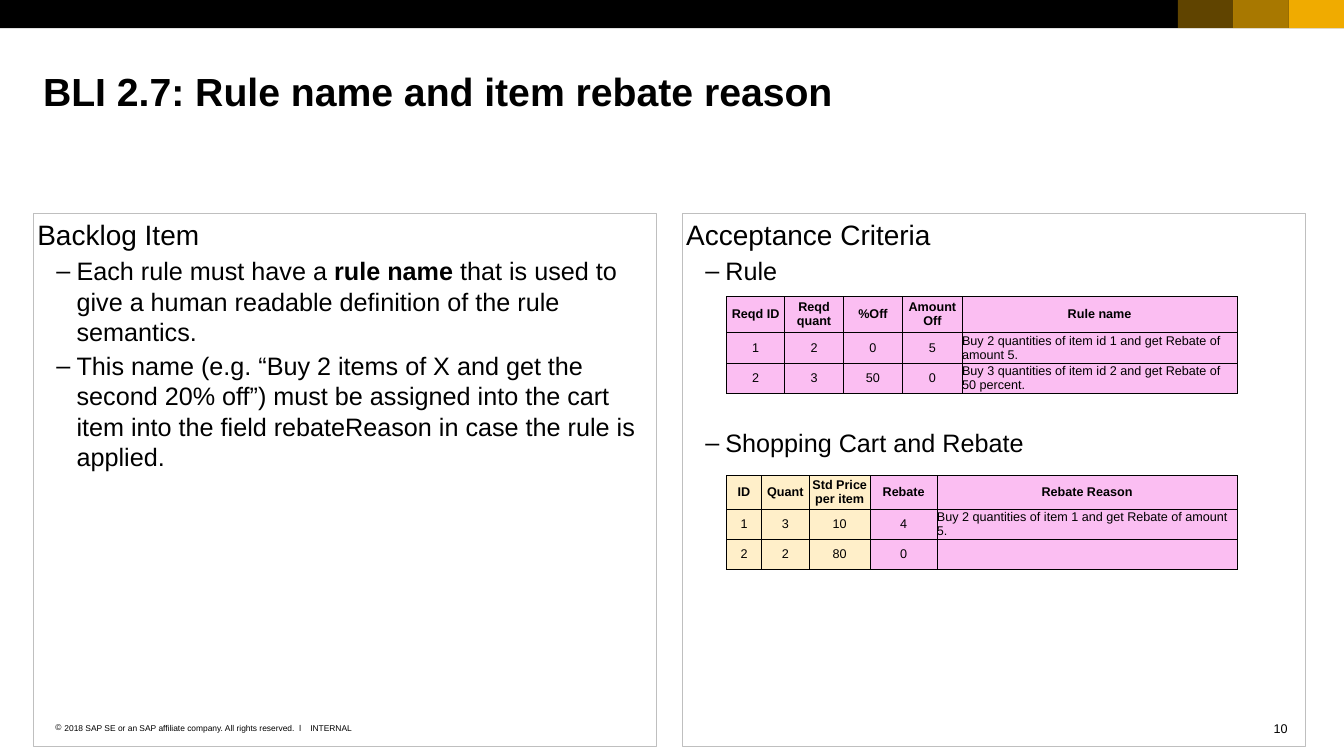
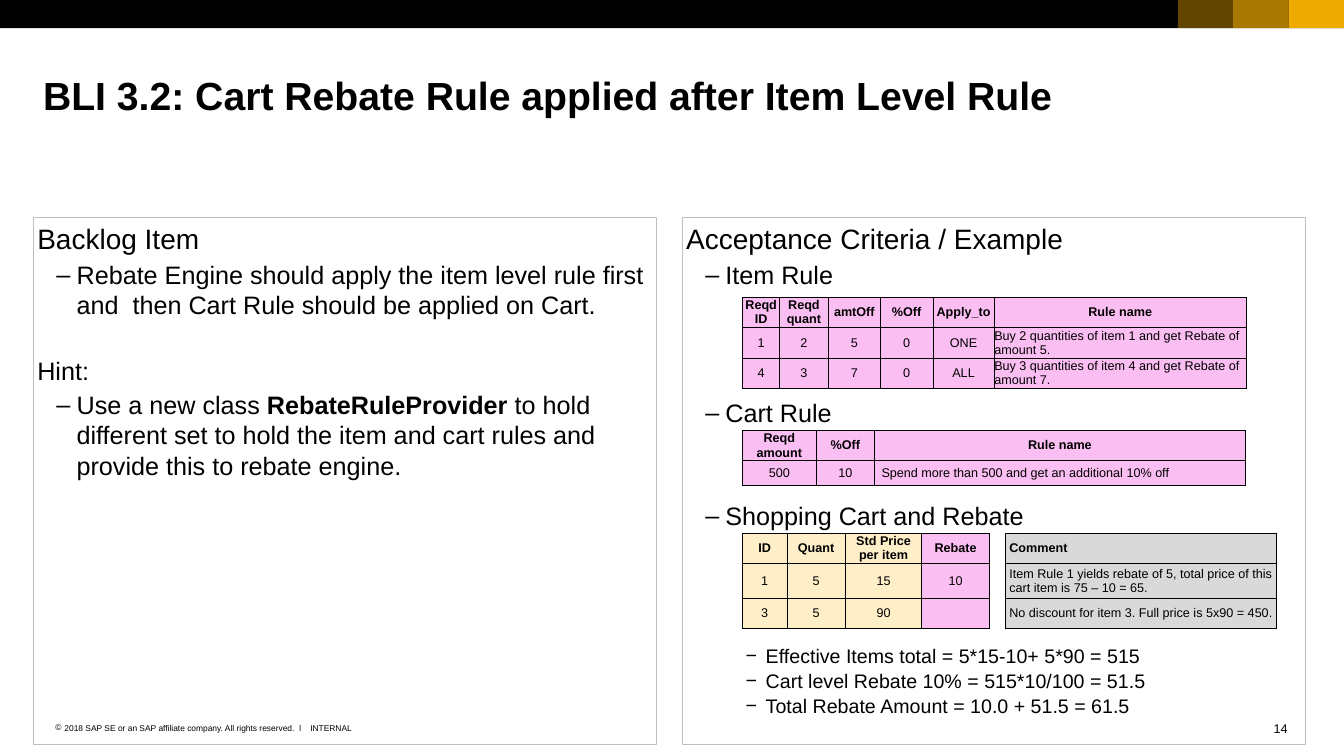
"""Build two backlog item slides with rule and shopping cart tables."""

import dataclasses
import typing

import lxml.etree
import pptx
import pptx.dml.color
import pptx.enum.shapes
import pptx.enum.text
import pptx.oxml.ns
import pptx.util

Inches = pptx.util.Inches
Pt = pptx.util.Pt
RGBColor = pptx.dml.color.RGBColor
Align = pptx.enum.text.PP_ALIGN
Anchor = pptx.enum.text.MSO_ANCHOR

BLACK = RGBColor(0x00, 0x00, 0x00)
WHITE = RGBColor(0xFF, 0xFF, 0xFF)
GOLD = RGBColor(0xF0, 0xAB, 0x00)
PANEL_LINE = RGBColor(0xBF, 0xBF, 0xBF)
PINK = RGBColor(0xFB, 0xBE, 0xF2)
CREAM = RGBColor(0xFF, 0xEF, 0xC9)
GRAY = RGBColor(0xD9, 0xD9, 0xD9)

FONT = "Arial"
SLIDE_WIDTH, SLIDE_HEIGHT = 13.34, 7.5
BAND_HEIGHT, SWATCH_WIDTH = 0.28, 0.55
SWATCH_OPACITIES = (100, 70, 40)
PANEL_LEFTS = (0.33, 6.77)
PANEL_WIDTH = 6.19
MARGINS = ("margin_left", "margin_right", "margin_top", "margin_bottom")
BOLD_MARK = "**"


class Area(typing.NamedTuple):
    left: float
    top: float
    width: float
    height: float


class Level(typing.NamedTuple):
    size: float
    space_before: float = 0
    indent: float = 0
    hanging: float = 0
    bullet: str = ""


HEADING = Level(20)
POINT = Level(18, 3, 0.39, 0.2, "–")
PLAIN = Level(18, 3)
DETAIL = Level(14, 1, 0.79, 0.2, "−")
TITLE = Level(28)
FOOTER = Level(6)
COPYRIGHT = Level(6, 0, 0.09, 0.09, "©")
PAGE_NUMBER = Level(9)
CELL = Level(9)


class Line(typing.NamedTuple):
    text: str
    level: Level = POINT
    space_before: float | None = None


class Column(typing.NamedTuple):
    heading: str
    width: float
    color: RGBColor = PINK
    heading_align: Align = Align.CENTER
    body_align: Align = Align.CENTER
    inset: float = 0
    is_gap: bool = False


@dataclasses.dataclass(frozen=True)
class Grid:
    left: float
    top: float
    columns: tuple[Column, ...]
    heights: tuple[float, ...]
    rows: tuple[tuple[str, ...], ...]


@dataclasses.dataclass(frozen=True)
class Page:
    number: str
    title: str
    title_top: float
    panel_top: float
    panel_height: float
    panels: tuple[tuple[Line, ...], ...]
    grids: tuple[Grid, ...]


def apply_format(target: typing.Any, values: dict[str, typing.Any]) -> None:
    for name, value in values.items():
        setattr(target, name, value)


def add_element(parent: typing.Any, tag: str, **attributes: str) -> typing.Any:
    return lxml.etree.SubElement(parent, pptx.oxml.ns.qn(tag), attributes)


def write_line(para: typing.Any, line: Line, align: Align = Align.LEFT, bold: bool = False) -> None:
    level = line.level
    if level.bullet:
        properties = para._p.get_or_add_pPr()
        properties.set("marL", str(Inches(level.indent)))
        properties.set("indent", str(-Inches(level.hanging)))
        color = add_element(properties, "a:buClr")
        add_element(color, "a:srgbClr", val=str(BLACK))
        add_element(properties, "a:buSzPct", val="100000")
        add_element(properties, "a:buFont", typeface=FONT)
        add_element(properties, "a:buChar", char=level.bullet)
    space = level.space_before if line.space_before is None else line.space_before
    apply_format(para, {"alignment": align, "line_spacing": 1.0, "space_before": Pt(space)})
    for index, text in enumerate(line.text.split(BOLD_MARK)):
        span = para.add_run()
        span.text = text
        span.font.color.rgb = BLACK
        apply_format(span.font, {"name": FONT, "size": Pt(level.size), "bold": bold or index % 2 == 1})


def set_margins(target: typing.Any, margin: float) -> None:
    apply_format(target, dict.fromkeys(MARGINS, Inches(margin)))


def add_label(slide: typing.Any, area: Area, line: Line, align: Align = Align.LEFT,
              bold: bool = False, wrap: bool = True, margin: float | None = 0) -> None:
    frame = slide.shapes.add_textbox(*map(Inches, area)).text_frame
    frame.word_wrap = wrap
    if margin is not None:
        set_margins(frame, margin)
    write_line(frame.paragraphs[0], line, align, bold)


def add_rectangle(slide: typing.Any, area: Area) -> typing.Any:
    box = slide.shapes.add_shape(pptx.enum.shapes.MSO_SHAPE.RECTANGLE, *map(Inches, area))
    box.shadow.inherit = False
    return box


def add_band(slide: typing.Any, area: Area, color: RGBColor, opacity: int = 100) -> None:
    box = add_rectangle(slide, area)
    box.line.fill.background()
    box.fill.solid()
    box.fill.fore_color.rgb = color
    if opacity < 100:
        color_element = box._element.spPr.find(".//" + pptx.oxml.ns.qn("a:srgbClr"))
        add_element(color_element, "a:alpha", val=str(opacity * 1000))


def add_frame(slide: typing.Any, page: Page) -> None:
    add_band(slide, Area(0, 0, SLIDE_WIDTH, BAND_HEIGHT), BLACK)
    for index, opacity in enumerate(SWATCH_OPACITIES, start=1):
        left = SLIDE_WIDTH - index * SWATCH_WIDTH
        add_band(slide, Area(left, 0, SWATCH_WIDTH, BAND_HEIGHT), GOLD, opacity)
    rights = "2018 SAP SE or an SAP affiliate company. All rights reserved.  ǀ"
    add_label(slide, Area(0.55, 7.17, 2.48, 0.1), Line(rights, COPYRIGHT))
    add_label(slide, Area(3.08, 7.17, 0.42, 0.1), Line("INTERNAL", FOOTER), wrap=False)
    add_label(slide, Area(12.63, 7.15, 0.15, 0.15), Line(page.number, PAGE_NUMBER), Align.RIGHT, wrap=False)
    add_label(slide, Area(PANEL_LEFTS[0], page.title_top, 12.63, 0.83), Line(page.title, TITLE),
              bold=True, margin=None)


def add_panel(slide: typing.Any, area: Area, lines: tuple[Line, ...]) -> None:
    box = add_rectangle(slide, area)
    box.fill.background()
    box.line.color.rgb = PANEL_LINE
    box.line.width = Pt(0.75)
    frame = box.text_frame
    apply_format(frame, {"word_wrap": True, "vertical_anchor": Anchor.TOP})
    set_margins(frame, 0.04)
    for index, line in enumerate(lines):
        para = frame.add_paragraph() if index else frame.paragraphs[0]
        write_line(para, line)


def add_borders(cell: typing.Any, is_gap: bool) -> None:
    properties = cell._tc.get_or_add_tcPr()
    for side in "LRTB":
        border = add_element(properties, f"a:ln{side}", w=str(Pt(0.5)))
        if is_gap and side in "TB":
            add_element(border, "a:noFill")
        else:
            fill = add_element(border, "a:solidFill")
            add_element(fill, "a:srgbClr", val=str(BLACK))


def fill_cell(cell: typing.Any, column: Column, text: str, is_heading: bool) -> None:
    align = column.heading_align if is_heading else column.body_align
    set_margins(cell, 0)
    if align == Align.LEFT:
        apply_format(cell, dict.fromkeys(MARGINS[:2], Inches(column.inset)))
    cell.vertical_anchor = Anchor.MIDDLE
    add_borders(cell, column.is_gap)
    cell.fill.solid()
    cell.fill.fore_color.rgb = column.color
    write_line(cell.text_frame.paragraphs[0], Line(text, CELL), align, is_heading)


def add_grid(slide: typing.Any, grid: Grid) -> None:
    width = sum(column.width for column in grid.columns)
    area = Area(grid.left, grid.top, width, sum(grid.heights))
    table = slide.shapes.add_table(len(grid.heights), len(grid.columns), *map(Inches, area)).table
    apply_format(table, {"first_row": False, "horz_banding": False})
    for index, column in enumerate(grid.columns):
        table.columns[index].width = Inches(column.width)
    headings = tuple(column.heading for column in grid.columns)
    for row_index, texts in enumerate((headings, *grid.rows)):
        table.rows[row_index].height = Inches(grid.heights[row_index])
        for column_index, text in enumerate(texts):
            cell = table.cell(row_index, column_index)
            fill_cell(cell, grid.columns[column_index], text, row_index == 0)


PAGES = (
    Page(
        "10", "BLI 2.7: Rule name and item rebate reason", 0.62, 2.12, 5.29,
        (
            (
                Line("Backlog Item", HEADING),
                Line("Each rule must have a **rule name **that is used to give a human readable "
                     "definition of the rule semantics."),
                Line("This name (e.g. “Buy 2 items of X and get the second 20% off”) must be assigned "
                     "into the cart item into the field rebateReason in case the rule is applied."),
            ),
            (
                Line("Acceptance Criteria", HEADING),
                Line("Rule"),
                Line("Shopping Cart and Rebate", space_before=101),
            ),
        ),
        (
            Grid(7.21, 2.94,
                 (Column("Reqd ID", 0.58), Column("Reqd quant", 0.58), Column("%Off", 0.59),
                  Column("Amount Off", 0.59), Column("Rule name", 2.73, body_align=Align.LEFT)),
                 (0.36, 0.28, 0.28),
                 (("1", "2", "0", "5", "Buy 2 quantities of item id 1 and get Rebate of amount 5."),
                  ("2", "3", "50", "0", "Buy 3 quantities of item id 2 and get Rebate of 50 percent."))),
            Grid(7.21, 4.72,
                 (Column("ID", 0.35, CREAM), Column("Quant", 0.47, CREAM),
                  Column("Std Price per item", 0.61, CREAM), Column("Rebate", 0.66),
                  Column("Rebate Reason", 2.98, body_align=Align.LEFT)),
                 (0.33, 0.24, 0.29),
                 (("1", "3", "10", "4", "Buy 2 quantities of item 1 and get Rebate of amount 5."),
                  ("2", "2", "80", "0", ""))),
        ),
    ),
    Page(
        "14", "BLI 3.2: Cart Rebate Rule applied after Item Level Rule", 0.66, 2.16, 5.23,
        (
            (
                Line("Backlog Item", HEADING),
                Line("Rebate Engine should apply the item level rule first and  then Cart Rule should "
                     "be applied on Cart."),
                Line("Hint:", PLAIN, 25),
                Line("Use a new class **RebateRuleProvider** to hold different set to hold the item "
                     "and cart rules and provide this to rebate engine."),
            ),
            (
                Line("Acceptance Criteria / Example", HEADING),
                Line("Item Rule"),
                Line("Cart Rule", space_before=77),
                Line("Shopping Cart and Rebate", space_before=52),
                Line("Effective Items total = 5*15-10+ 5*90 = 515", DETAIL, 81),
                Line("Cart level Rebate 10% = 515*10/100 = 51.5", DETAIL),
                Line("Total Rebate Amount = 10.0 + 51.5 = 61.5", DETAIL),
            ),
        ),
        (
            Grid(7.37, 2.95,
                 (Column("Reqd ID", 0.37), Column("Reqd quant", 0.48), Column("amtOff", 0.52),
                  Column("%Off", 0.52), Column("Apply_to", 0.61),
                  Column("Rule name", 2.5, body_align=Align.LEFT)),
                 (0.3, 0.24, 0.24),
                 (("1", "2", "5", "0", "ONE", "Buy 2 quantities of item 1 and get Rebate of amount 5."),
                  ("4", "3", "7", "0", "ALL", "Buy 3 quantities of item 4 and get Rebate of amount 7."))),
            Grid(7.37, 5.29,
                 (Column("ID", 0.44, CREAM), Column("Quant", 0.58, CREAM),
                  Column("Std Price per item", 0.76, CREAM), Column("Rebate", 0.67),
                  Column("", 0.16, WHITE, is_gap=True),
                  Column("Comment", 2.69, GRAY, Align.LEFT, Align.LEFT, 0.04)),
                 (0.26, 0.34, 0.3),
                 (("1", "5", "15", "10", "",
                   "Item Rule 1 yields rebate of 5, total price of this cart item is 75 – 10 = 65."),
                  ("3", "5", "90", "", "", "No discount for item 3. Full price is 5x90 = 450."))),
            Grid(7.37, 4.27,
                 (Column("Reqd amount", 0.73), Column("%Off", 0.58),
                  Column("Rule name", 3.68, body_align=Align.LEFT, inset=0.07)),
                 (0.3, 0.24),
                 (("500", "10", "Spend more than 500 and get an additional 10% off"),)),
        ),
    ),
)


def main() -> None:
    deck = pptx.Presentation()
    apply_format(deck, {"slide_width": Inches(SLIDE_WIDTH), "slide_height": Inches(SLIDE_HEIGHT)})
    for page in PAGES:
        slide = deck.slides.add_slide(deck.slide_layouts[6])
        add_frame(slide, page)
        for left, lines in zip(PANEL_LEFTS, page.panels):
            add_panel(slide, Area(left, page.panel_top, PANEL_WIDTH, page.panel_height), lines)
        for grid in page.grids:
            add_grid(slide, grid)
    deck.save("out.pptx")


if __name__ == "__main__":
    main()
